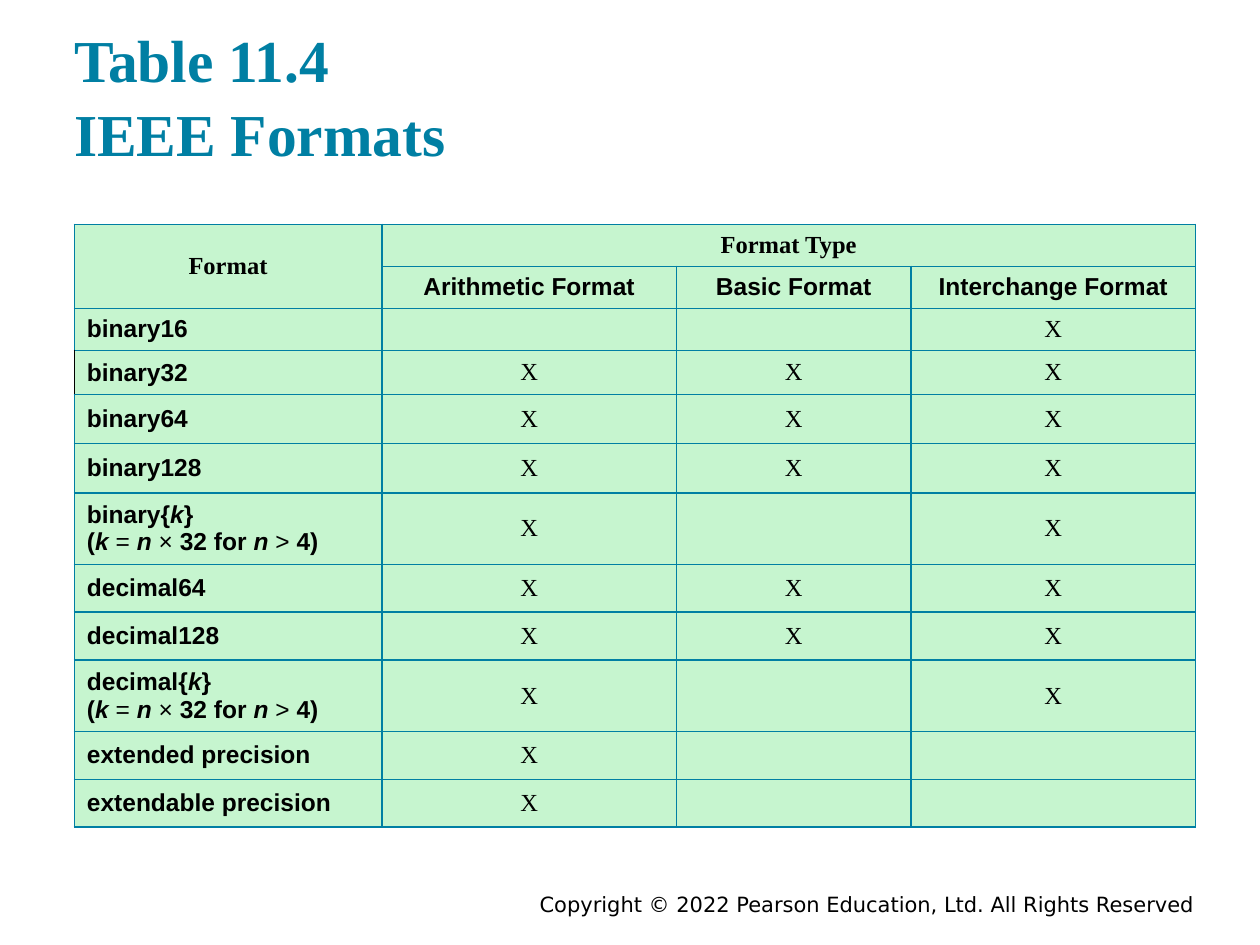
"""Build the IEEE formats table slide."""
from dataclasses import dataclass
from typing import NamedTuple

from lxml.etree import SubElement
from pptx import Presentation
from pptx.dml.color import RGBColor
from pptx.enum.text import MSO_ANCHOR as Anchor, PP_ALIGN as Align
from pptx.oxml.ns import qn
from pptx.util import Inches, Pt


@dataclass(frozen=True)
class Theme:
    teal: str = "007FA3"
    mint: str = "C6F5CF"
    black: str = "000000"
    serif: str = "Times New Roman"
    sans: str = "Arial"
    footer_font: str = "DejaVu Sans"
    title_size: int = 34
    table_size: int = 14
    footer_size: int = 12
    border_width: int = 1


class Span(NamedTuple):
    text: str
    bold: bool = True
    italic: bool = False


class FormatRow(NamedTuple):
    label: list[list[Span]]
    marks: str
    height: float
    left_border: str = ""


THEME = Theme()
COLUMN_WIDTHS = (2.44, 2.34, 1.86, 2.26)
HEADER_HEIGHT = 0.33
FORMAT_TYPES = ("Arithmetic Format", "Basic Format", "Interchange Format")
CONDITION = [
    Span("("), Span("k ", italic=True), Span("= ", bold=False),
    Span("n ", italic=True), Span("× ", bold=False), Span("32 for "),
    Span("n ", italic=True), Span("> ", bold=False), Span("4)"),
]


def plain(text: str, bold: bool = True) -> list[list[Span]]:
    return [[Span(text, bold)]]


def parametric(name: str) -> list[list[Span]]:
    return [[Span(name + "{"), Span("k", italic=True), Span("}")], CONDITION]


FORMAT_ROWS = (
    FormatRow(plain("binary16"), "--X", 0.33),
    FormatRow(plain("binary32"), "XXX", 0.35, THEME.black),
    FormatRow(plain("binary64"), "XXX", 0.39),
    FormatRow(plain("binary128"), "XXX", 0.39),
    FormatRow(parametric("binary"), "X-X", 0.54),
    FormatRow(plain("decimal64"), "XXX", 0.38),
    FormatRow(plain("decimal128"), "XXX", 0.38),
    FormatRow(parametric("decimal"), "X-X", 0.54),
    FormatRow(plain("extended precision"), "X--", 0.38),
    FormatRow(plain("extendable precision"), "X--", 0.38),
)


def write_text(frame, paragraphs: list[list[Span]], *, font: str, size: int,
               color: str = THEME.black, align=Align.LEFT, spacing: float = 1.0) -> None:
    for index, spans in enumerate(paragraphs):
        paragraph = frame.add_paragraph() if index else frame.paragraphs[0]
        paragraph.alignment = align
        paragraph.line_spacing = spacing
        for span in spans:
            if span.text == "\n":
                paragraph.add_line_break()
                continue
            run = paragraph.add_run()
            run.text = span.text
            run.font.name = font
            run.font.size = Pt(size)
            run.font.bold = span.bold
            run.font.italic = span.italic
            run.font.color.rgb = RGBColor.from_string(color)


def add_text_box(slide, left: float, top: float, width: float, height: float,
                 paragraphs: list[list[Span]], *, anchor=Anchor.TOP,
                 inset: float = 0.05, **text_format) -> None:
    shape = slide.shapes.add_textbox(Inches(left), Inches(top), Inches(width), Inches(height))
    frame = shape.text_frame
    frame.word_wrap = True
    frame.vertical_anchor = anchor
    frame.margin_top = frame.margin_bottom = Inches(inset)
    write_text(frame, paragraphs, **text_format)


def style_cell(cell, left_border: str = "") -> None:
    properties = cell._tc.get_or_add_tcPr()
    for side in "LRTB":
        color = left_border if side == "L" and left_border else THEME.teal
        line = SubElement(properties, qn(f"a:ln{side}"), w=str(Pt(THEME.border_width)))
        fill = SubElement(line, qn("a:solidFill"))
        SubElement(fill, qn("a:srgbClr"), val=color)
    cell.fill.solid()
    cell.fill.fore_color.rgb = RGBColor.from_string(THEME.mint)
    cell.vertical_anchor = Anchor.MIDDLE
    ending = cell.text_frame.paragraphs[0]._p.get_or_add_endParaRPr()
    ending.set("sz", str(THEME.table_size * 100))


def fill_cell(cell, paragraphs: list[list[Span]], font: str, align=Align.CENTER) -> None:
    write_text(cell.text_frame, paragraphs, font=font, size=THEME.table_size, align=align)


def add_format_table(slide) -> None:
    heights = [HEADER_HEIGHT] * 2 + [row.height for row in FORMAT_ROWS]
    table = slide.shapes.add_table(
        len(heights), len(COLUMN_WIDTHS), Inches(0.59), Inches(1.78),
        Inches(sum(COLUMN_WIDTHS)), Inches(sum(heights))).table
    table.first_row = table.horz_banding = False
    for column, width in zip(table.columns, COLUMN_WIDTHS):
        column.width = Inches(width)
    for row, height in zip(table.rows, heights):
        row.height = Inches(height)
    borders = ["", ""] + [row.left_border for row in FORMAT_ROWS]
    for row, border in zip(table.rows, borders):
        for index, cell in enumerate(row.cells):
            style_cell(cell, border if index == 0 else "")

    table.cell(0, 0).merge(table.cell(1, 0))
    table.cell(0, 1).merge(table.cell(0, 3))
    fill_cell(table.cell(0, 0), plain("Format"), THEME.serif)
    fill_cell(table.cell(0, 1), plain("Format Type"), THEME.serif)
    for column, name in enumerate(FORMAT_TYPES, start=1):
        fill_cell(table.cell(1, column), plain(name), THEME.sans)
    for index, row in enumerate(FORMAT_ROWS, start=2):
        fill_cell(table.cell(index, 0), row.label, THEME.sans, Align.LEFT)
        for column, mark in enumerate(row.marks, start=1):
            if mark == "X":
                fill_cell(table.cell(index, column), plain(mark, bold=False), THEME.serif)


def main() -> None:
    presentation = Presentation()
    presentation.slide_width = Inches(10)
    presentation.slide_height = Inches(7.5)
    slide = presentation.slides.add_slide(presentation.slide_layouts[6])
    add_text_box(slide, 1.75, 7.03, 7.83, 0.22,
                 plain("Copyright © 2022 Pearson Education, Ltd. All Rights Reserved", bold=False),
                 font=THEME.footer_font, size=THEME.footer_size, align=Align.RIGHT)
    add_text_box(slide, 0.49, 0.22, 9, 1.22,
                 [[Span("Table 11.4 "), Span("\n"), Span("IEEE Formats")]],
                 anchor=Anchor.BOTTOM, inset=0.1, font=THEME.serif,
                 size=THEME.title_size, color=THEME.teal, spacing=1.05)
    add_format_table(slide)
    presentation.save("out.pptx")


if __name__ == "__main__":
    main()
